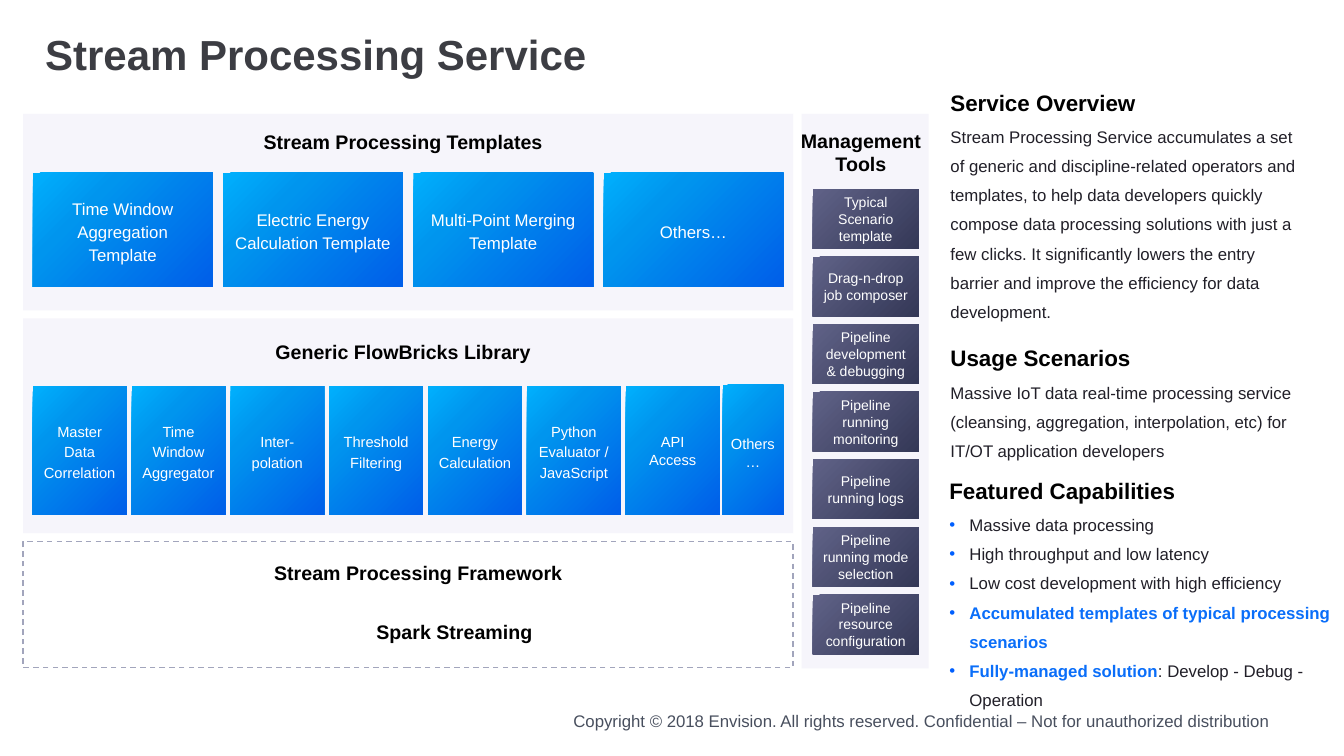
import copy

import pptx
import pptx.dml.color
import pptx.enum.dml
import pptx.enum.shapes
import pptx.enum.text
import pptx.oxml
import pptx.oxml.ns
import pptx.util

Pt = pptx.util.Pt
RGBColor = pptx.dml.color.RGBColor
PP_ALIGN = pptx.enum.text.PP_ALIGN
MSO_ANCHOR = pptx.enum.text.MSO_ANCHOR
qn = pptx.oxml.ns.qn

BLACK = RGBColor(0x00, 0x00, 0x00)
WHITE = RGBColor(0xFF, 0xFF, 0xFF)
TITLE = RGBColor(0x3C, 0x3D, 0x43)
BODY = RGBColor(0x21, 0x1F, 0x28)
FOOTER = RGBColor(0x48, 0x4F, 0x5E)
PANEL = RGBColor(0xF6, 0xF5, 0xFB)
DASHES = RGBColor(0xA2, 0xA5, 0xBC)
ACCENT = RGBColor(0x0A, 0x6E, 0xF9)
BULLET = RGBColor(0x00, 0x5F, 0xFE)
BLUES = [(0, RGBColor(0x00, 0xB0, 0xFD)), (0.3, RGBColor(0x00, 0x95, 0xEE)),
         (0.99, RGBColor(0x00, 0x5F, 0xE9))]
SLATES = [(0, RGBColor(0x60, 0x62, 0x87)), (1, RGBColor(0x34, 0x38, 0x57))]


class SlideBuilder:
    font = "Arial"
    body_spacing = Pt(20.8)

    def __init__(self, slide):
        self.s = slide

    def style(self, r, size, color, bold=False):
        r.font.name = self.font
        r.font.size = Pt(size)
        r.font.bold = bold
        r.font.color.rgb = color

    def fill_text(self, tf, text, size, color, bold, align, spacing, anchor, inset):
        tf.word_wrap = True
        tf.vertical_anchor = anchor
        tf.margin_left = tf.margin_right = Pt(inset)
        tf.margin_top = tf.margin_bottom = Pt(3.6)
        tf.text = text
        for p in tf.paragraphs:
            p.alignment = align
            if spacing:
                p.line_spacing = spacing
            for r in p.runs:
                self.style(r, size, color, bold)

    def text(self, x, y, w, h, text, size, color, bold=False, align=PP_ALIGN.LEFT,
             spacing=None, anchor=MSO_ANCHOR.TOP, inset=7.2):
        tf = self.s.shapes.add_textbox(Pt(x), Pt(y), Pt(w), Pt(h)).text_frame
        self.fill_text(tf, text, size, color, bold, align, spacing, anchor, inset)
        return tf

    def heading(self, x, y, w, h, text):
        self.text(x, y, w, h, text, 14, BLACK, True, PP_ALIGN.CENTER, inset=3.6)

    def section(self, x, y, w, text, spacing=0.9):
        self.text(x, y, w, 23, text, 16, BLACK, True, spacing=spacing)

    def body(self, x, y, w, h, text):
        self.text(x, y, w, h, text, 12, BODY, spacing=self.body_spacing)

    def rect(self, x, y, w, h):
        sp = self.s.shapes.add_shape(pptx.enum.shapes.MSO_SHAPE.RECTANGLE,
                                     Pt(x), Pt(y), Pt(w), Pt(h))
        sp.shadow.inherit = False
        sp.line.fill.background()
        return sp

    def panel(self, x, y, w, h, color=PANEL, dashes=None):
        sp = self.rect(x, y, w, h)
        sp.fill.solid()
        sp.fill.fore_color.rgb = color
        if dashes is not None:
            sp.line.color.rgb = dashes
            sp.line.width = Pt(1)
            sp.line.dash_style = pptx.enum.dml.MSO_LINE.DASH

    def tile(self, x, y, w, h, stops, text="", size=12, spacing=None):
        sp = self.rect(x, y, w, h)
        sp.fill.gradient()
        sp.fill.gradient_angle = 315
        gs_list = sp._element.spPr.find(qn("a:gradFill")).find(qn("a:gsLst"))
        while len(gs_list) < len(stops):
            gs_list.append(copy.deepcopy(gs_list[-1]))
        for stop, (position, color) in zip(sp.fill.gradient_stops, stops):
            stop.position = position
            stop.color.rgb = color
        self.fill_text(sp.text_frame, text, size, WHITE, False, PP_ALIGN.CENTER,
                       spacing, MSO_ANCHOR.MIDDLE, 6)

    def bullets(self, x, y, w, h, items):
        tf = self.s.shapes.add_textbox(Pt(x), Pt(y), Pt(w), Pt(h)).text_frame
        tf.word_wrap = True
        tf.margin_right = 0
        for i, (strong, plain) in enumerate(items):
            p = tf.paragraphs[0] if i == 0 else tf.add_paragraph()
            p.line_spacing = self.body_spacing
            pPr = p._p.get_or_add_pPr()
            pPr.set("marL", str(Pt(14.4)))
            pPr.set("indent", str(-Pt(14.4)))
            clr = pptx.oxml.parse_xml(
                f'<a:buClr {pptx.oxml.ns.nsdecls("a")}><a:srgbClr val="{BULLET}"/></a:buClr>')
            pPr.append(clr)
            pPr.append(pPr.makeelement(qn("a:buFont"), {"typeface": self.font}))
            pPr.append(pPr.makeelement(qn("a:buChar"), {"char": "•"}))
            for text, color, bold in ((strong, ACCENT, True), (plain, BODY, False)):
                if text:
                    r = p.add_run()
                    r.text = text
                    self.style(r, 12, color, bold)


def main():
    prs = pptx.Presentation()
    prs.slide_width, prs.slide_height = Pt(960), Pt(540)
    b = SlideBuilder(prs.slides.add_slide(prs.slide_layouts[6]))

    # Title and footer
    b.text(25.2, 16.8, 902, 47.5, "Stream Processing Service", 30, TITLE, True,
           spacing=0.9, anchor=MSO_ANCHOR.MIDDLE)
    b.text(350.6, 504, 563.8, 21.6,
           "Copyright © 2018 Envision. All rights reserved. Confidential – "
           "Not for unauthorized distribution", 12, FOOTER, align=PP_ALIGN.RIGHT)

    # Panels and their headings
    b.panel(16.5, 81.4, 550, 140.4)
    b.panel(16.5, 227.5, 550, 153.4)
    b.panel(16.5, 386.9, 550, 90, WHITE, DASHES)
    b.panel(572.6, 81.4, 90.7, 396)
    b.heading(16.5, 89.2, 543, 24.2, "Stream Processing Templates")
    b.heading(16.5, 239, 543, 24.2, "Generic FlowBricks Library")
    b.heading(23.8, 397, 550, 24.2, "Stream Processing Framework")
    b.heading(263.8, 439.2, 121.7, 24.2, "Spark Streaming")
    b.heading(567.8, 88.4, 94.3, 41, "Management Tools")

    # Processing templates
    templates = ["Time Window Aggregation Template", "Electric Energy Calculation Template",
                 "Multi-Point Merging Template", "Others…"]
    for i, name in enumerate(templates):
        b.tile(23.4, 123.6, 128.5, 81.4, BLUES, name, spacing=Pt(16.4)) if i == 0 else \
            b.tile(23.4 + i * 135.9, 123.6, 128.5, 81.4, BLUES, name, spacing=Pt(16.4))

    # Operator library
    operators = ["Master Data Correlation", "Time Window Aggregator", "Inter-polation",
                 "Threshold Filtering", "Energy Calculation",
                 "Python Evaluator / JavaScript", "API\nAccess"]
    for i, name in enumerate(operators):
        spacing = None if "\n" in name else Pt(14.6)
        b.tile(23.4 + i * 70.6, 276, 67, 91.6, BLUES, name, 10.5, spacing)
    b.tile(516.2, 275, 43.4, 92.9, BLUES)
    others = b.text(514.8, 307.4, 46, 32.4, "Others\n…", 10.5, WHITE, align=PP_ALIGN.CENTER)
    others.word_wrap = False

    # Management tools
    tools = ["Typical Scenario template", "Drag-n-drop job composer",
             "Pipeline\ndevelopment & debugging", "Pipeline\nrunning monitoring",
             "Pipeline\nrunning logs", "Pipeline running mode selection",
             "Pipeline resource configuration"]
    for i, name in enumerate(tools):
        b.tile(580.5, 135.2 + i * 48.25, 75.8, 42.5, SLATES, name, 10)

    # Description column
    b.section(671.8, 63.6, 238, "Service Overview", 0.8)
    b.body(671.8, 80.6, 267.1, 153.4,
           "Stream Processing Service accumulates a set of generic and discipline-related "
           "operators and templates, to help data developers quickly compose data processing "
           "solutions with just a few clicks. It significantly lowers the entry barrier and "
           "improve the efficiency for data development.")
    b.section(671.8, 244.1, 190, "Usage Scenarios")
    b.body(671.8, 263.1, 278.6, 68.4,
           "Massive IoT data real-time processing service (cleansing, aggregation, "
           "interpolation, etc) for IT/OT application developers")
    b.section(671, 339.1, 202, "Featured Capabilities")
    b.bullets(671, 357.9, 288, 153.4, [
        ("", "Massive data processing"),
        ("", "High throughput and low latency"),
        ("", "Low cost development with high efficiency"),
        ("Accumulated templates of typical processing scenarios", ""),
        ("Fully-managed solution", ": Develop - Debug - Operation"),
    ])

    prs.save("out.pptx")


if __name__ == "__main__":
    main()
